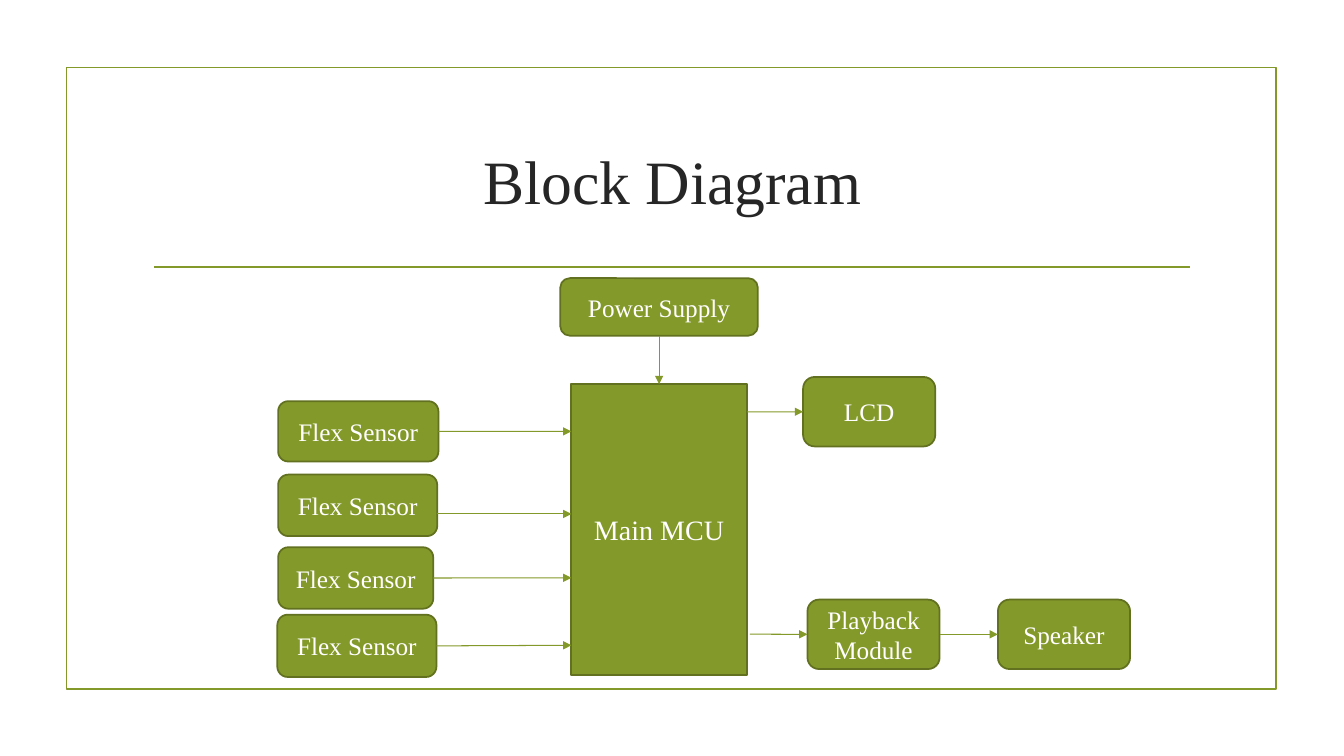
from dataclasses import dataclass
from typing import Optional

from lxml.etree import SubElement
from pptx import Presentation
from pptx.dml.color import RGBColor
from pptx.enum.shapes import MSO_CONNECTOR, MSO_SHAPE
from pptx.enum.text import MSO_ANCHOR, PP_ALIGN
from pptx.oxml.ns import qn
from pptx.util import Cm, Pt


@dataclass(frozen=True)
class Theme:
    font: str = "Times New Roman"
    green: RGBColor = RGBColor(0x83, 0x99, 0x2A)
    edge: RGBColor = RGBColor(0x61, 0x71, 0x1F)
    dark: RGBColor = RGBColor(0x26, 0x26, 0x26)
    white: RGBColor = RGBColor(0xFF, 0xFF, 0xFF)
    title: float = 44
    main: float = 20
    label: float = 18
    thick: float = 1.25
    thin: float = 0.75


@dataclass(frozen=True)
class Block:
    key: str
    text: str
    left: float
    top: float
    width: float
    height: float
    size: float
    kind: MSO_SHAPE = MSO_SHAPE.ROUNDED_RECTANGLE


@dataclass(frozen=True)
class Link:
    start: tuple[float, float]
    end: tuple[float, float]
    source: Optional[tuple[str, int]] = None
    target: Optional[tuple[str, int]] = None


THEME = Theme()
TOP, LEFT, BOTTOM, RIGHT = range(4)

SENSORS = [
    Block(f"flex{row}", "Flex Sensor", left, top, width, height, THEME.label)
    for row, (left, top, width, height) in enumerate([
        (7.01, 10.11, 4.04, 1.52),
        (7.01, 11.96, 4.01, 1.55),
        (7.01, 13.79, 3.91, 1.55),
        (6.99, 15.49, 4.01, 1.57),
    ])
]
BLOCKS = [
    Block("board", "Main MCU", 14.4, 9.68, 4.42, 7.34, THEME.main,
          MSO_SHAPE.RECTANGLE),
    Block("power", "Power Supply", 14.12, 7.01, 4.98, 1.45, THEME.label),
    *SENSORS,
    Block("lcd", "LCD", 20.24, 9.5, 3.33, 1.75, THEME.label),
    Block("voice", "Playback Module", 20.35, 15.11, 3.33, 1.75, THEME.label),
    Block("speaker", "Speaker", 25.15, 15.11, 3.33, 1.75, THEME.label),
]
LINKS = [
    Link((16.61, 8.46), (16.61, 9.68), ("power", BOTTOM), ("board", TOP)),
    Link((18.82, 10.38), (20.24, 10.38), target=("lcd", LEFT)),
    Link((18.9, 15.98), (20.35, 15.98), target=("voice", LEFT)),
    Link((23.68, 15.98), (25.15, 15.98), ("voice", RIGHT), ("speaker", LEFT)),
    Link((11.05, 10.87), (14.4, 10.87), source=("flex0", RIGHT)),
    Link((11.02, 12.95), (14.4, 12.95)),
    Link((10.92, 14.56), (14.4, 14.56), source=("flex2", RIGHT)),
    Link((11, 16.28), (14.4, 16.26), source=("flex3", RIGHT)),
]


def write(shape, text: str, *, size: float, color: RGBColor) -> None:
    frame = shape.text_frame
    frame.word_wrap = True
    frame.vertical_anchor = MSO_ANCHOR.MIDDLE
    para = frame.paragraphs[0]
    para.alignment = PP_ALIGN.CENTER
    run = para.add_run()
    run.text = text
    run.font.name = THEME.font
    run.font.size = Pt(size)
    run.font.color.rgb = color


def stroke(line, color: RGBColor, width: float) -> None:
    line.color.rgb = color
    line.width = Pt(width)


def add_box(shapes, kind: MSO_SHAPE, *area: float):
    shape = shapes.add_shape(kind, *map(Cm, area))
    shape.shadow.inherit = False
    return shape


def add_line(shapes, start: tuple[float, float], end: tuple[float, float],
             width: float):
    line = shapes.add_connector(MSO_CONNECTOR.STRAIGHT,
                                *map(Cm, (*start, *end)))
    stroke(line.line, THEME.green, width)
    SubElement(line._element.spPr, qn("a:effectLst"))
    return line


def add_frame(shapes) -> None:
    frame = add_box(shapes, MSO_SHAPE.RECTANGLE, 1.68, 1.7, 30.48, 15.67)
    frame.fill.background()
    stroke(frame.line, THEME.green, THEME.thick)
    add_line(shapes, (3.89, 6.73), (30, 6.73), THEME.thick)
    title = shapes.add_textbox(Cm(3.61), Cm(2.72), Cm(26.67), Cm(3.63))
    write(title, "Block Diagram", size=THEME.title, color=THEME.dark)


def add_block(shapes, block: Block):
    shape = add_box(shapes, block.kind, block.left, block.top,
                    block.width, block.height)
    shape.fill.solid()
    shape.fill.fore_color.rgb = THEME.green
    stroke(shape.line, THEME.edge, THEME.thick)
    write(shape, block.text, size=block.size, color=THEME.white)
    return shape


def add_link(shapes, link: Link, nodes: dict) -> None:
    line = add_line(shapes, link.start, link.end, THEME.thin)
    if link.source:
        key, side = link.source
        line.begin_connect(nodes[key], side)
    if link.target:
        key, side = link.target
        line.end_connect(nodes[key], side)
    SubElement(line.line._get_or_add_ln(), qn("a:tailEnd"), type="triangle")


def main() -> None:
    deck = Presentation()
    deck.slide_width, deck.slide_height = Cm(33.87), Cm(19.05)
    shapes = deck.slides.add_slide(deck.slide_layouts[6]).shapes
    add_frame(shapes)
    nodes = {block.key: add_block(shapes, block) for block in BLOCKS}
    for link in LINKS:
        add_link(shapes, link, nodes)
    deck.save("out.pptx")


if __name__ == "__main__":
    main()
